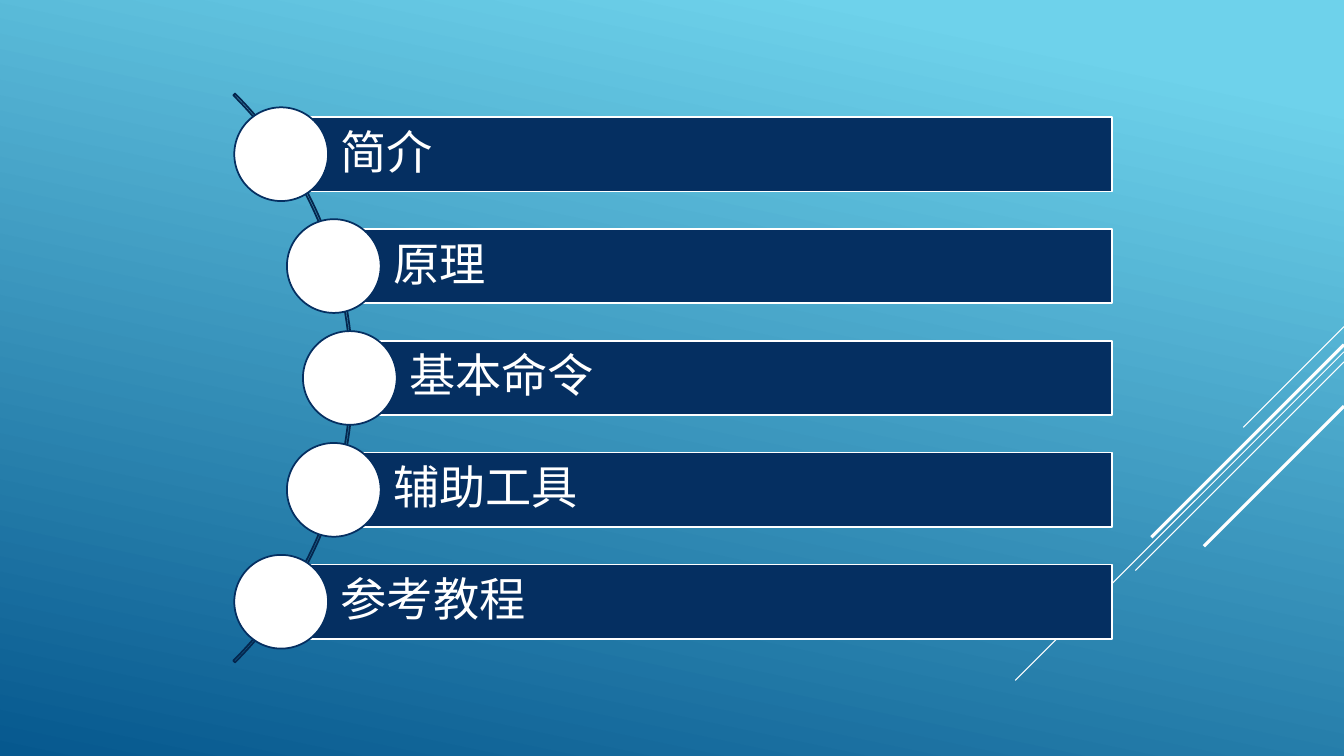
import math

from lxml import etree
from pptx import Presentation
from pptx.dml.color import RGBColor
from pptx.enum.shapes import MSO_CONNECTOR, MSO_SHAPE
from pptx.enum.text import MSO_ANCHOR, PP_ALIGN
from pptx.oxml.ns import qn
from pptx.util import Inches, Pt

STRAIGHT = MSO_CONNECTOR.STRAIGHT
RECTANGLE = MSO_SHAPE.RECTANGLE
OVAL = MSO_SHAPE.OVAL
BLOCK_ARC = MSO_SHAPE.BLOCK_ARC
MIDDLE = MSO_ANCHOR.MIDDLE
LEFT = PP_ALIGN.LEFT

WIDTH, HEIGHT = 13.33, 7.5
MIDDLE_ROW = HEIGHT / 2
FONT = "TeX Gyre Adventor"
WHITE, NAVY, ARC_NAVY = "FFFFFF", "052F61", "04264E"
SKY, DEEP_BLUE = "6ED2EB", "06588E"

TOPICS = ["简介", "原理", "基本命令", "辅助工具", "参考教程"]
ROW_STEP = 1.11
BAR_HEIGHT, BAR_RIGHT = 0.74, 11.03
DOT_SIZE = 0.93
ARC_CENTER, ARC_SIZE, DOT_ORBIT = -0.49, 7.98, 3.96

STREAKS = [
    (3.24, 1.0, 0.75),
    (3.49, 3.26, 0.75),
    (3.59, 2.07, 0.75),
    (3.42, 1.91, 2.25),
    (4.03, 1.39, 2.25),
]


def color(hex_string):
    return RGBColor.from_string(hex_string)


def paint_background(page):
    fill = page.background.fill
    fill.gradient()
    fill.gradient_angle = 360 - 102
    for stop, position, shade in zip(fill.gradient_stops, (0.1, 1), (SKY, DEEP_BLUE)):
        stop.position = position
        stop.color.rgb = color(shade)


def add_streak(page, top, reach, weight):
    ends = (WIDTH, top, WIDTH - reach, top + reach)
    streak = page.shapes.add_connector(STRAIGHT, *map(Inches, ends))
    streak.line.color.rgb = color(WHITE)
    streak.line.width = Pt(weight)
    etree.SubElement(streak.element.spPr, qn("a:effectLst"))


def add_outlined(page, kind, left, width, height, center_y, fill, outline):
    place = (left, center_y - height / 2, width, height)
    shape = page.shapes.add_shape(kind, *map(Inches, place))
    shape.shadow.inherit = False
    if fill:
        shape.fill.solid()
        shape.fill.fore_color.rgb = color(fill)
    else:
        shape.fill.background()
    shape.line.color.rgb = color(outline)
    shape.line.width = Pt(1.25)
    return shape


def add_arc(page):
    left = ARC_CENTER - ARC_SIZE / 2
    arc = add_outlined(page, BLOCK_ARC, left, ARC_SIZE, ARC_SIZE, MIDDLE_ROW, None, ARC_NAVY)
    for index, value in enumerate((189, 27, 0.003)):
        arc.adjustments[index] = value


def write_label(bar, text):
    frame = bar.text_frame
    frame.word_wrap = True
    frame.vertical_anchor = MIDDLE
    frame.margin_left = Inches(0.59)
    frame.margin_right = frame.margin_top = frame.margin_bottom = Inches(0.09)
    para = frame.paragraphs[0]
    para.text = text
    para.alignment = LEFT
    para.line_spacing = 0.9
    para.font.name = FONT
    para.font.size = Pt(33)
    para.font.color.rgb = color(WHITE)


def add_topic(page, row, text):
    offset = (row - (len(TOPICS) - 1) / 2) * ROW_STEP
    center_x = ARC_CENTER + math.sqrt(DOT_ORBIT ** 2 - offset ** 2)
    center_y = MIDDLE_ROW + offset
    bar = add_outlined(page, RECTANGLE, center_x, BAR_RIGHT - center_x, BAR_HEIGHT,
                       center_y, NAVY, WHITE)
    write_label(bar, text)
    add_outlined(page, OVAL, center_x - DOT_SIZE / 2, DOT_SIZE, DOT_SIZE,
                 center_y, WHITE, NAVY)


def main():
    deck = Presentation()
    deck.slide_width, deck.slide_height = Inches(WIDTH), Inches(HEIGHT)
    page = deck.slides.add_slide(deck.slide_layouts[6])
    paint_background(page)
    for streak in STREAKS:
        add_streak(page, *streak)
    add_arc(page)
    for row, text in enumerate(TOPICS):
        add_topic(page, row, text)
    deck.save("out.pptx")


main()
